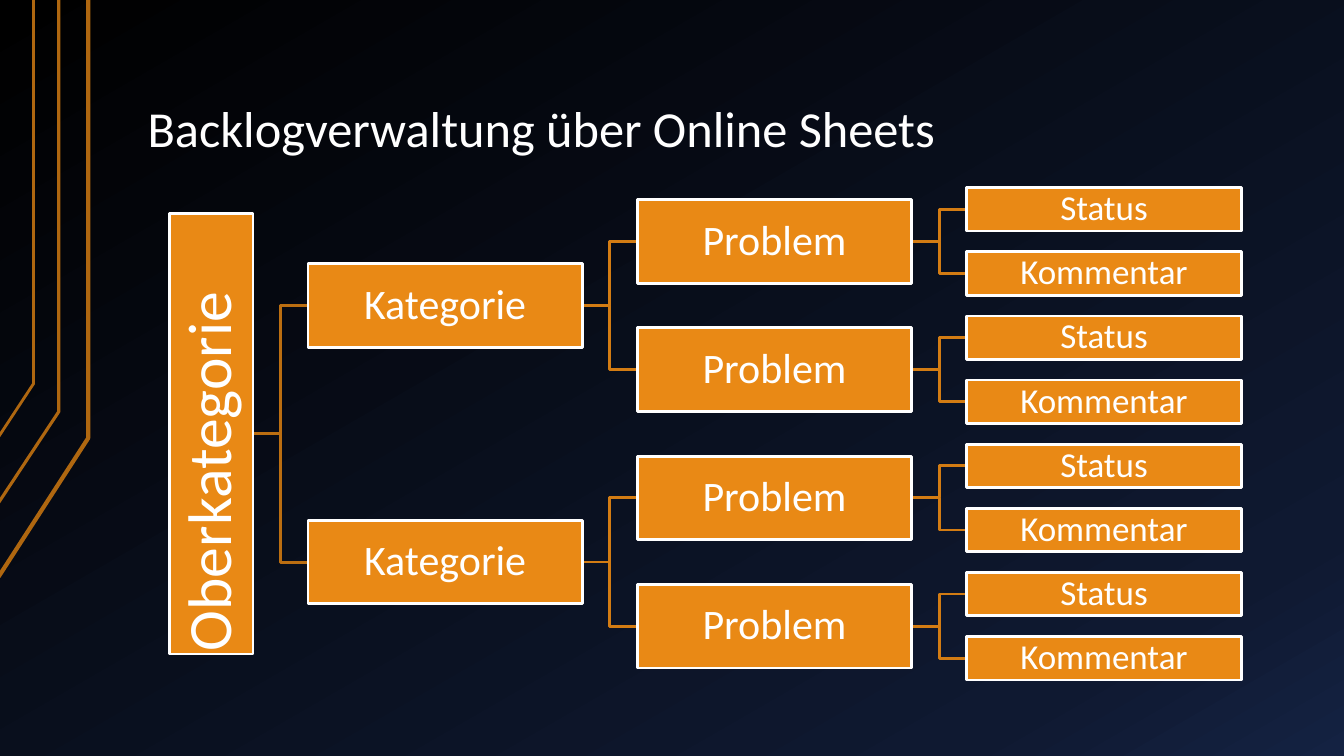
from copy import deepcopy

from pptx import Presentation
from pptx.dml.color import RGBColor
from pptx.enum.shapes import MSO_CONNECTOR, MSO_SHAPE
from pptx.enum.text import MSO_ANCHOR, PP_ALIGN
from pptx.oxml.ns import qn
from pptx.oxml.xmlchemy import OxmlElement
from pptx.util import Pt


def rgb(value):
    return RGBColor.from_string(value)


def set_text(sp, text, size, inset_x, inset_y, align, anchor):
    tf = sp.text_frame
    tf.word_wrap = True
    tf.vertical_anchor = anchor
    tf.margin_left = tf.margin_right = Pt(inset_x)
    tf.margin_top = tf.margin_bottom = Pt(inset_y)
    p = tf.paragraphs[0]
    p.text = text
    p.alignment = align
    p.line_spacing = 0.9
    p.font.size = Pt(size)
    p.font.name = "Calibri"
    p.font.color.rgb = rgb("FFFFFF")


prs = Presentation()
prs.slide_width, prs.slide_height = Pt(960), Pt(540)
slide = prs.slides.add_slide(prs.slide_layouts[6])
shapes = slide.shapes

fill = slide.background.fill
fill.gradient()
fill.gradient_angle = 300
stop_list = slide.element.find(".//" + qn("a:gsLst"))
stop_list.append(deepcopy(stop_list[-1]))
for stop, (position, color) in zip(
    fill.gradient_stops, [(0, "000000"), (0.85, "0F1931"), (1, "142242")]
):
    stop.position = position
    stop.color.rgb = rgb(color)

for left, bottom, right, bend, width in [
    (-0.7, 411.8, 63.4, 313.2, 3),
    (-1.4, 359.3, 41.8, 293.8, 2.25),
    (-0.7, 312.5, 24.5, 274.3, 2),
]:
    builder = shapes.build_freeform(left, bottom, scale=12700)
    builder.add_line_segments([(right, bend), (right, 0)], close=False)
    sp = builder.convert_to_shape()
    sp.shadow.inherit = False
    sp.fill.background()
    sp.line.color.rgb = rgb("AF6710")
    sp.line.width = Pt(width)

title = shapes.add_textbox(Pt(96), Pt(21.6), Pt(816), Pt(96.5))
set_text(title, "Backlogverwaltung über Online Sheets", 36, 9.4, 5,
         PP_ALIGN.LEFT, MSO_ANCHOR.BOTTOM)

first_center, row_pitch, row_count = 149.6, 45.8, 8
levels = [
    (["Oberkategorie"], 120.9, 59.8, 314.6, 44),
    (["Kategorie"], 220, 196, 59.8, 30),
    (["Problem"], 455.3, 196, 59.8, 30),
    (["Status", "Kommentar"], 690.6, 196, 31, 25),
]
connector_colors = ["BB6E11", "D37C13", "D37C13"]

tree = []
for depth, (labels, left, width, height, size) in enumerate(levels):
    count = 2 ** depth
    rows = row_count / count
    boxes = []
    for i in range(count):
        center = first_center + row_pitch * (rows * i + (rows - 1) / 2)
        sp = shapes.add_shape(MSO_SHAPE.RECTANGLE, Pt(left), Pt(center - height / 2),
                              Pt(width), Pt(height))
        sp.shadow.inherit = False
        sp.fill.solid()
        sp.fill.fore_color.rgb = rgb("E98915")
        sp.line.color.rgb = rgb("FFFFFF")
        sp.line.width = Pt(2)
        set_text(sp, labels[i % len(labels)], size, 1.5, 1.5,
                 PP_ALIGN.CENTER, MSO_ANCHOR.MIDDLE)
        boxes.append(sp)
    tree.append(boxes)

root_tf = tree[0][0].text_frame
root_tf.paragraphs[0].alignment = PP_ALIGN.LEFT
root_tf.margin_bottom = Pt(2)
root_tf._txBody.bodyPr.set("vert", "vert270")

for parents, children, color in zip(tree, tree[1:], connector_colors):
    for i, child in enumerate(children):
        parent = parents[i // 2]
        link = shapes.add_connector(
            MSO_CONNECTOR.ELBOW,
            parent.left + parent.width, parent.top + parent.height // 2,
            child.left, child.top + child.height // 2,
        )
        link.begin_connect(parent, 3)
        link.end_connect(child, 1)
        link.line.color.rgb = rgb(color)
        link.line.width = Pt(2)
        link.element.spPr.append(OxmlElement("a:effectLst"))
        tree[0][0].element.addprevious(link.element)

prs.save("out.pptx")
